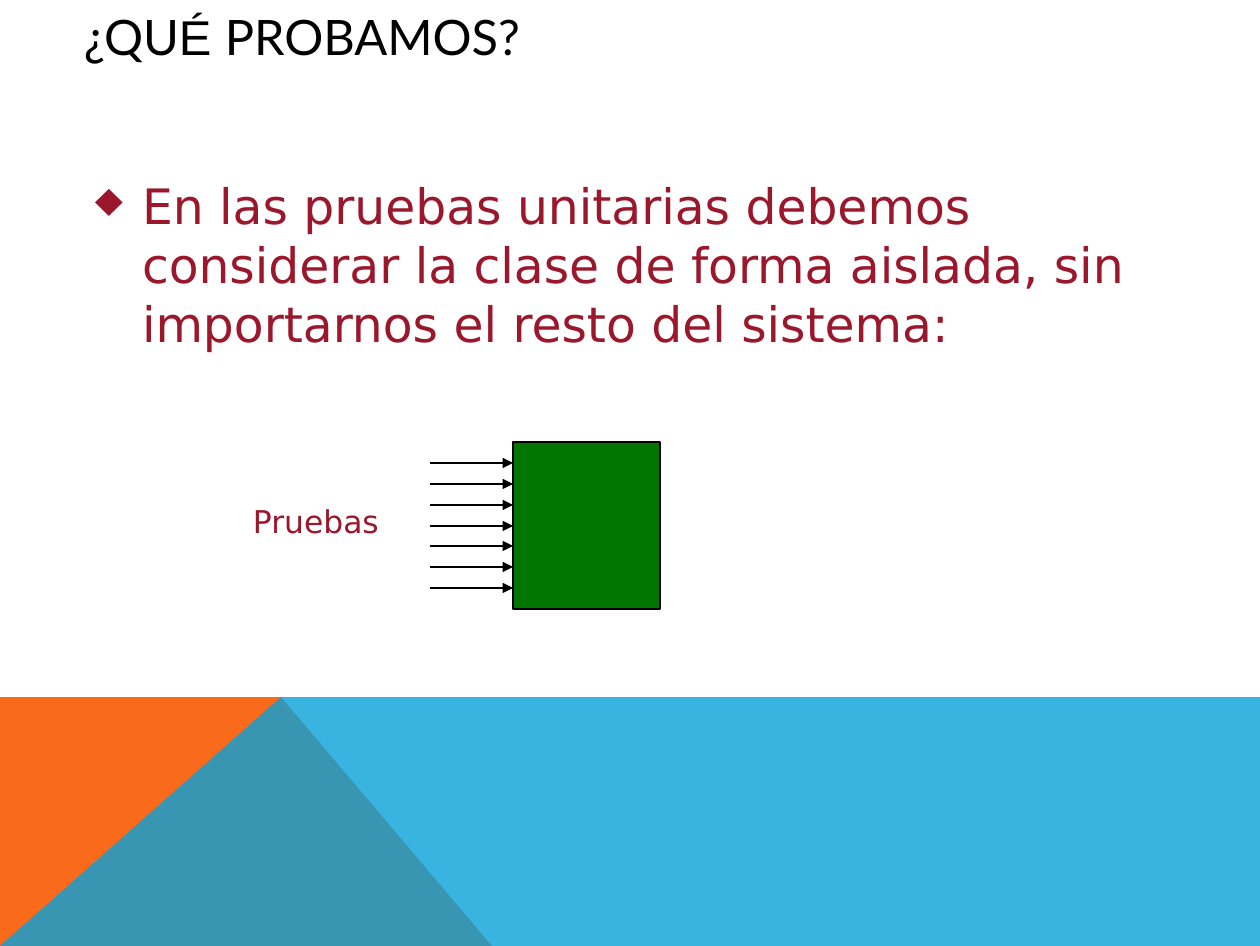
from lxml.etree import SubElement
from pptx import Presentation
from pptx.dml.color import RGBColor
from pptx.enum.shapes import MSO_CONNECTOR, MSO_SHAPE
from pptx.enum.text import MSO_ANCHOR
from pptx.oxml.ns import qn
from pptx.util import Pt

PX = 7286  # EMU per px
WIDTH, HEIGHT = 1260, 946

BLACK = RGBColor(0x00, 0x00, 0x00)
CRIMSON = RGBColor(0x9B, 0x17, 0x2C)
GREEN = RGBColor(0x00, 0x76, 0x00)
ORANGE = RGBColor(0xF9, 0x6A, 0x1B)
BLUE = RGBColor(0x08, 0xA1, 0xD9)

prs = Presentation()
prs.slide_width, prs.slide_height = WIDTH * PX, HEIGHT * PX
slide = prs.slides.add_slide(prs.slide_layouts[6])
shapes = slide.shapes


def add_polygon(points, color):
    builder = shapes.build_freeform(*points[0], scale=PX)
    builder.add_line_segments(points[1:], close=True)
    polygon = builder.convert_to_shape()
    polygon.shadow.inherit = False
    polygon.fill.solid()
    polygon.fill.fore_color.rgb = color
    polygon.line.fill.background()
    return polygon


def add_text(left, top, width, height, anchor=MSO_ANCHOR.TOP):
    """Add a wrapping text box without insets and return its first paragraph."""
    frame = shapes.add_textbox(left * PX, top * PX, width * PX, height * PX).text_frame
    frame.word_wrap = True
    frame.vertical_anchor = anchor
    frame.margin_left = frame.margin_top = frame.margin_right = frame.margin_bottom = 0
    return frame.paragraphs[0]


# Footer band
band_top, peak = 697, 281
add_polygon([(0, HEIGHT), (0, band_top), (peak, band_top), (492, HEIGHT)], ORANGE)
blue_band = add_polygon(
    [(0, HEIGHT), (peak, band_top), (WIDTH, band_top), (WIDTH, HEIGHT)], BLUE)
blue_color = blue_band.fill._xPr.find(qn("a:solidFill"))[0]
SubElement(blue_color, qn("a:alpha"), val="80000")

# Title
title = add_text(84, 0, 554, 71, MSO_ANCHOR.MIDDLE)
title.font.size = Pt(28)
title.font.color.rgb = BLACK
for text, font_name in [("¿QU", "Lato"), ("É ", "Arial"), ("PROBAMOS?", "Lato")]:
    run = title.add_run()
    run.text = text
    run.font.name = font_name

# Statement
statement = add_text(93, 176, 1050, 180)
statement.text = ("En las pruebas unitarias debemos considerar la clase de forma "
                  "aislada, sin importarnos el resto del sistema:")
bullet_props = statement._p.get_or_add_pPr()
bullet_props.set("marL", str(49 * PX))
bullet_props.set("indent", str(-47 * PX))
SubElement(bullet_props, qn("a:buChar"), char="♦")
statement.font.size = Pt(28)

# Class under test
class_left, class_top, class_width, class_height = 513, 442, 147, 167
class_box = shapes.add_shape(MSO_SHAPE.RECTANGLE, class_left * PX, class_top * PX,
                             class_width * PX, class_height * PX)
class_box.shadow.inherit = False
class_box.fill.solid()
class_box.fill.fore_color.rgb = GREEN
class_box.line.color.rgb = BLACK
class_box.line.width = Pt(0.75)

# Test arrows, evenly spread over the height of the class
arrow_count = 7
for i in range(1, arrow_count + 1):
    y = (class_top + round(class_height * i / (arrow_count + 1))) * PX
    arrow = shapes.add_connector(MSO_CONNECTOR.STRAIGHT, 430 * PX, y, class_left * PX, y)
    arrow.line.color.rgb = BLACK
    arrow.line.width = Pt(0.75)
    SubElement(arrow.line._get_or_add_ln(), qn("a:tailEnd"), type="triangle")
    SubElement(arrow._element.spPr, qn("a:effectLst"))

tests_label = add_text(253, 502, 129, 40)
tests_label.text = "Pruebas"
tests_label.font.size = Pt(18)

for paragraph in (statement, tests_label):
    paragraph.font.name = "DejaVu Sans"
    paragraph.font.color.rgb = CRIMSON

prs.save("out.pptx")
